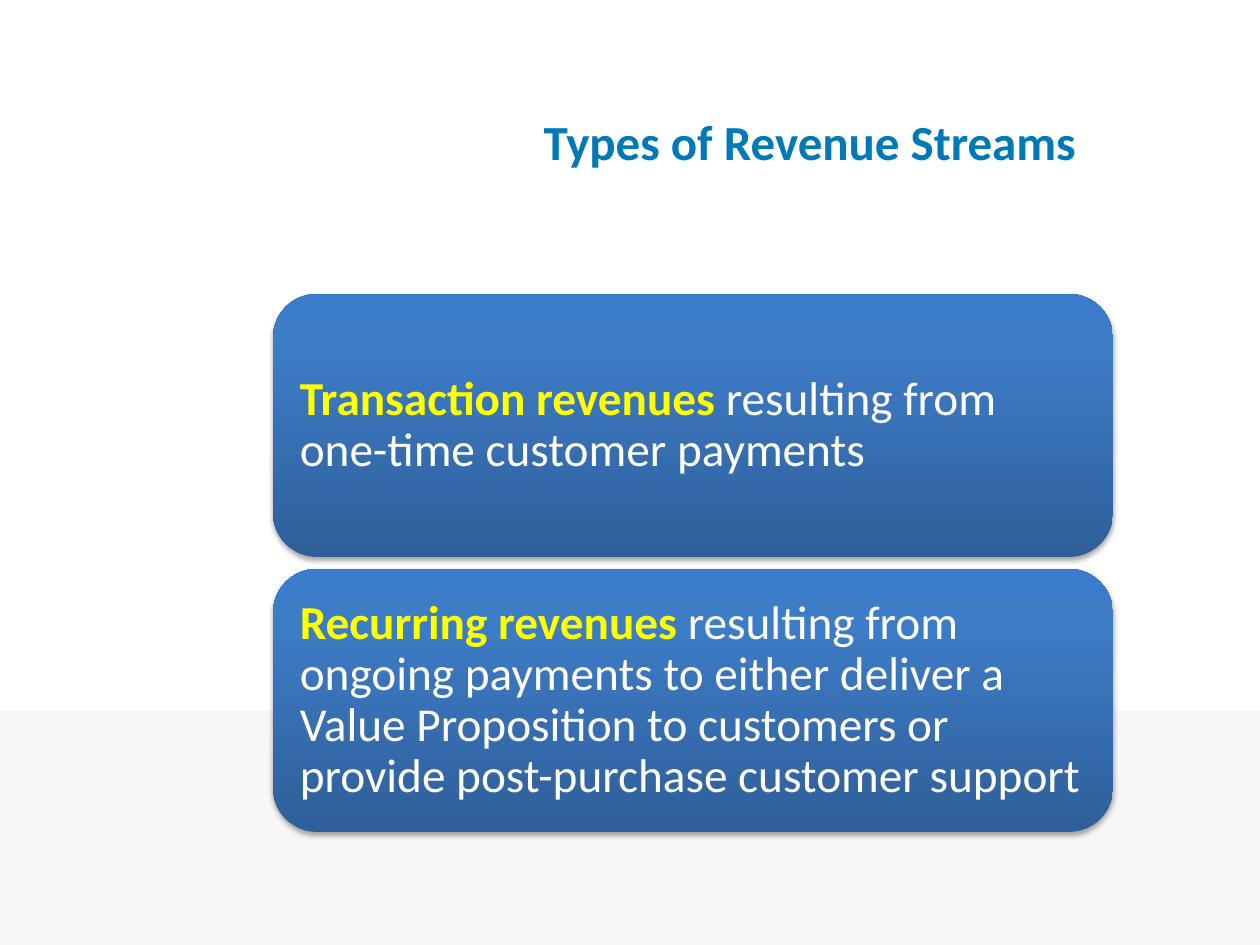
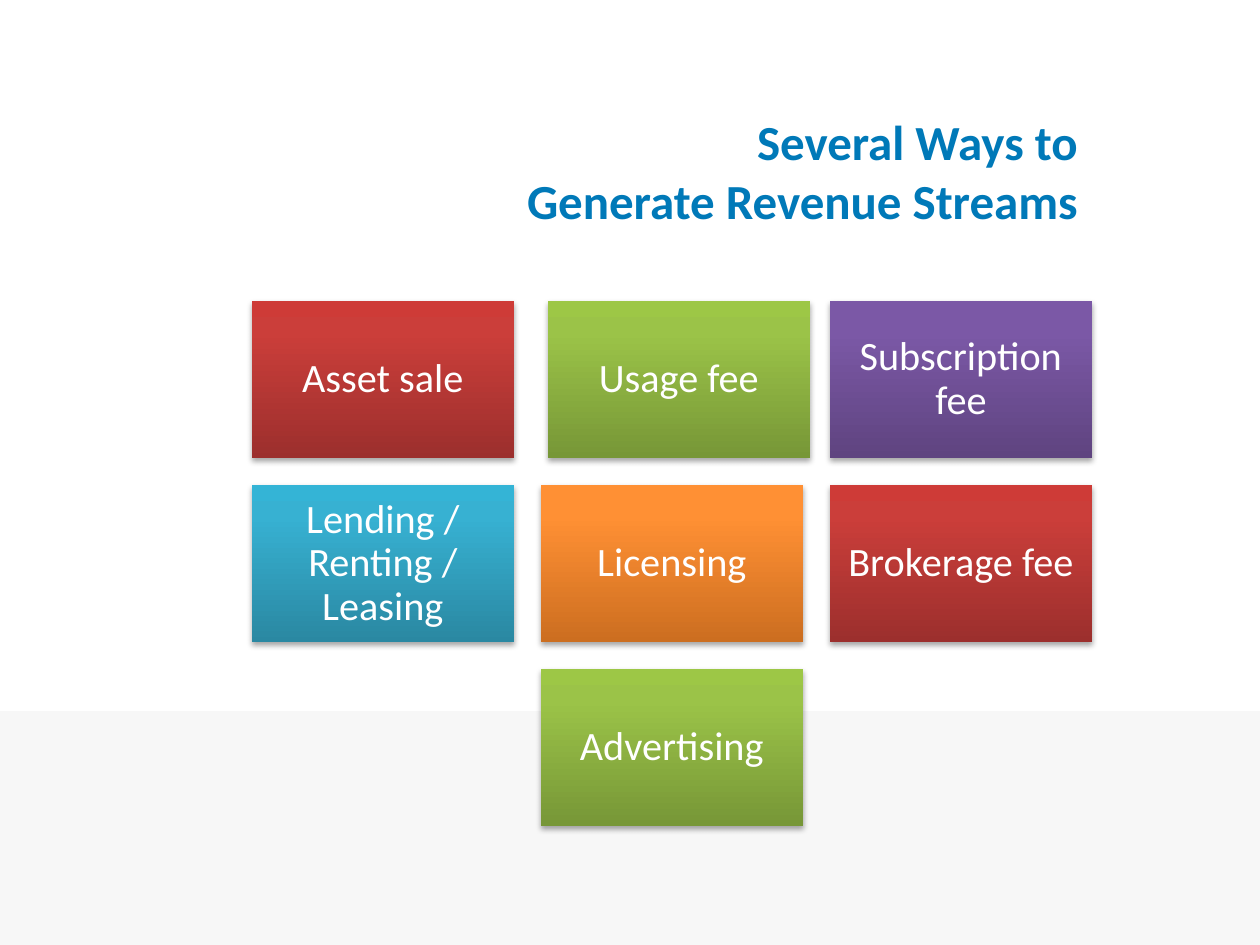
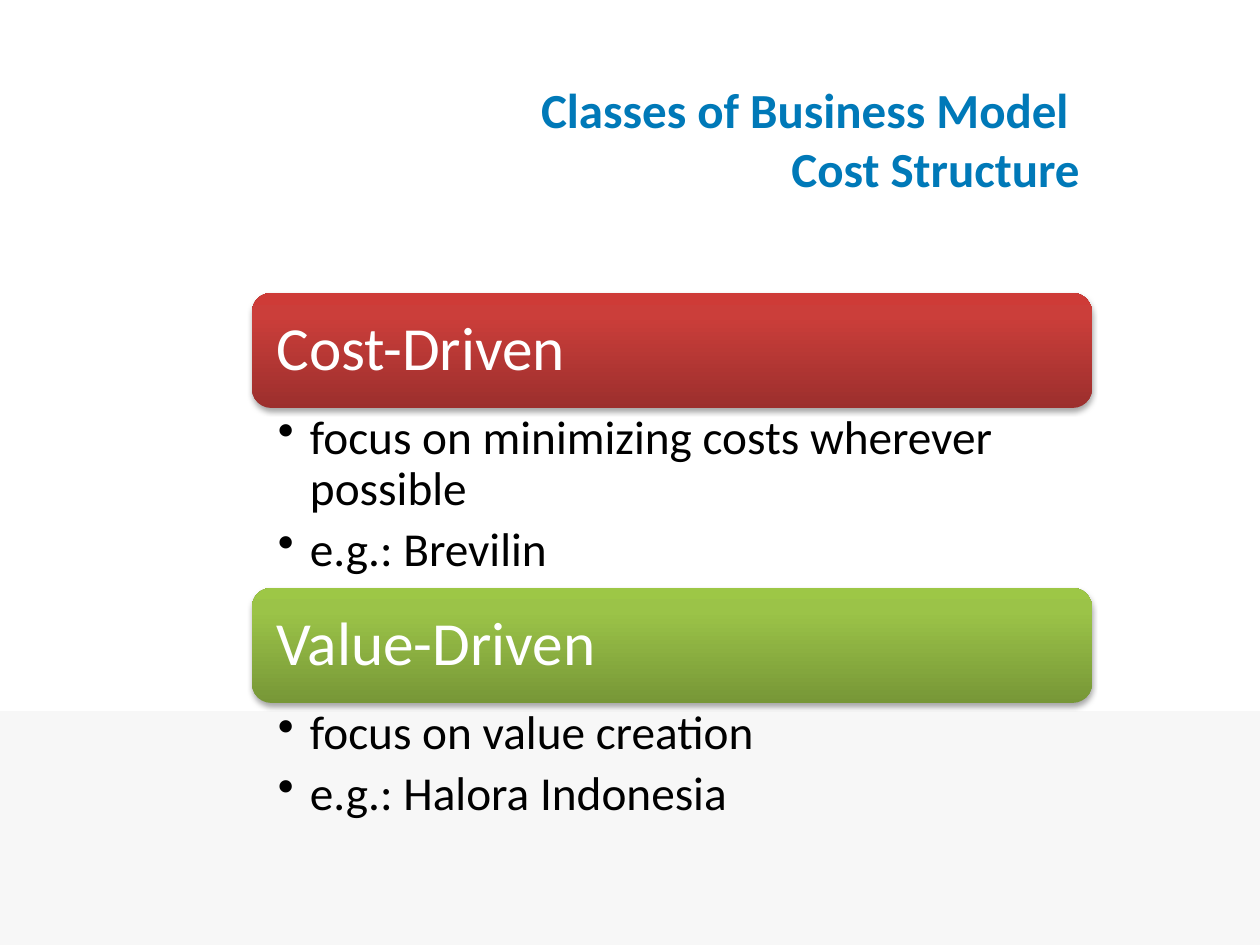
import copy

import lxml.etree
import pptx
import pptx.dml.color
import pptx.enum.shapes
import pptx.enum.text
import pptx.oxml.ns
import pptx.util

RGB = pptx.dml.color.RGBColor
SHAPE = pptx.enum.shapes.MSO_SHAPE
ALIGN = pptx.enum.text.PP_ALIGN
ANCHOR = pptx.enum.text.MSO_ANCHOR
qn = pptx.oxml.ns.qn

FONT = "Calibri"
WHITE = RGB(0xFF, 0xFF, 0xFF)
BLACK = RGB(0x00, 0x00, 0x00)
YELLOW = RGB(0xFF, 0xFF, 0x00)
BAND_GREY = RGB(0xF7, 0xF7, 0xF7)
TITLE_BLUE = RGB(0x00, 0x79, 0xB8)

BLUE = (RGB(0x2F, 0x5F, 0x99), RGB(0x3D, 0x7C, 0xC7), RGB(0x3A, 0x7C, 0xCB))
RED = (RGB(0x9C, 0x2F, 0x2D), RGB(0xCB, 0x3E, 0x3A), RGB(0xCE, 0x3B, 0x37))
GREEN = (RGB(0x77, 0x97, 0x37), RGB(0x9B, 0xC3, 0x48), RGB(0x9D, 0xC7, 0x46))
PURPLE = (RGB(0x5F, 0x44, 0x80), RGB(0x7B, 0x58, 0xA6), RGB(0x7C, 0x57, 0xA8))
TEAL = (RGB(0x2A, 0x88, 0xA2), RGB(0x37, 0xB1, 0xD2), RGB(0x34, 0xB4, 0xD6))
ORANGE = (RGB(0xCC, 0x6E, 0x20), RGB(0xFF, 0x90, 0x34), RGB(0xFF, 0x91, 0x36))
STOPS = (0, 0.8, 1)

SLIDE_W, SLIDE_H = 1260, 945
BAND_TOP = 711


def px(n):
    """Convert pixels at 126 to the inch into EMU."""
    return pptx.util.Emu(round(n * 914400 / 126))


def add_run(p, text, size, color, bold=False):
    """Append one styled run to a paragraph."""
    r = p.add_run()
    r.text = text
    r.font.name = FONT
    r.font.size = pptx.util.Pt(size)
    r.font.bold = bold
    r.font.color.rgb = color


def set_insets(tf, left, top, right, bottom):
    """Set the four text margins and turn wrapping on."""
    tf.word_wrap = True
    tf.margin_left, tf.margin_top = px(left), px(top)
    tf.margin_right, tf.margin_bottom = px(right), px(bottom)


def paragraphs(tf, count):
    """Return the given number of paragraphs of an empty text frame."""
    return [tf.paragraphs[0]] + [tf.add_paragraph() for _ in range(count - 1)]


def fill_gradient(sp, colors):
    """Fill a shape with a vertical three-stop gradient, first colour lowest."""
    sp.fill.gradient()
    sp.fill.gradient_angle = 90
    stops = sp._element.spPr.find(".//" + qn("a:gsLst"))
    stops.append(copy.deepcopy(stops[-1]))
    for stop, position, color in zip(sp.fill.gradient_stops, STOPS, colors):
        stop.position = position
        stop.color.rgb = color


def add_shadow(sp):
    """Give a shape a soft shadow straight below it."""
    sp.shadow.inherit = False
    effects = sp._element.spPr.find(qn("a:effectLst"))
    shadow = lxml.etree.SubElement(
        effects, qn("a:outerShdw"), blurRad="40000", dist="23000",
        dir="5400000", rotWithShape="0")
    color = lxml.etree.SubElement(shadow, qn("a:srgbClr"), val="000000")
    lxml.etree.SubElement(color, qn("a:alpha"), val="35000")


def add_card(s, kind, box, colors, runs, size, inset, align=ALIGN.LEFT):
    """Draw a gradient card with one paragraph of (text, colour, bold) runs."""
    sp = s.shapes.add_shape(kind, *map(px, box))
    fill_gradient(sp, colors)
    sp.line.fill.background()
    add_shadow(sp)
    tf = sp.text_frame
    set_insets(tf, inset, inset, inset, inset)
    tf.vertical_anchor = ANCHOR.MIDDLE
    p = tf.paragraphs[0]
    p.alignment = align
    p.line_spacing = 0.9
    for text, color, bold in runs:
        add_run(p, text, size, color, bold)


def add_bullets(s, box, items):
    """Write a bulleted list in the given box."""
    tf = s.shapes.add_textbox(*map(px, box)).text_frame
    set_insets(tf, 26, 6, 34, 6)
    for p, item in zip(paragraphs(tf, len(items)), items):
        p.level = 1
        p.line_spacing = 0.9
        p.space_after = pptx.util.Pt(5.4)
        pPr = p._p.get_or_add_pPr()
        pPr.set("marL", str(px(32)))
        pPr.set("indent", str(-px(32)))
        lxml.etree.SubElement(pPr, qn("a:buChar"), char="•")
        add_run(p, item, 27, BLACK)


def add_title(s, box, lines):
    """Write the right-aligned slide title."""
    tf = s.shapes.add_textbox(*map(px, box)).text_frame
    tf.word_wrap = False
    tf.auto_size = pptx.enum.text.MSO_AUTO_SIZE.SHAPE_TO_FIT_TEXT
    for p, line in zip(paragraphs(tf, len(lines)), lines):
        p.alignment = ALIGN.RIGHT
        add_run(p, line, 28, TITLE_BLUE, True)


def new_slide(prs):
    """Add a blank slide with the grey band along its foot."""
    s = prs.slides.add_slide(prs.slide_layouts[6])
    band = s.shapes.add_shape(
        SHAPE.RECTANGLE, 0, px(BAND_TOP), px(SLIDE_W), px(SLIDE_H - BAND_TOP))
    band.shadow.inherit = False
    band.fill.solid()
    band.fill.fore_color.rgb = BAND_GREY
    band.line.fill.background()
    return s


def add_revenue_types(s, box, types):
    """Stack one rounded card per revenue type, sharing the box height."""
    x, y, w, h = box
    gap = 12
    card_h = (h - gap * (len(types) - 1)) / len(types)
    for i, (name, detail) in enumerate(types):
        card = (x, y + i * (card_h + gap), w, card_h)
        runs = [(name, YELLOW, True), (detail, WHITE, False)]
        add_card(s, SHAPE.ROUNDED_RECTANGLE, card, BLUE, runs, 27, 14)


def add_revenue_ways(s, box, ways):
    """Place (column, row, nudge, colours, label) tiles on a 3 by 3 grid."""
    x, y, w, h = box
    tile_w, tile_h = 262, 157
    step_x, step_y = (w - tile_w) / 2, (h - tile_h) / 2
    for column, row, nudge, colors, label in ways:
        tile = (x + column * step_x + nudge, y + row * step_y, tile_w, tile_h)
        add_card(s, SHAPE.RECTANGLE, tile, colors, [(label, WHITE, False)],
                 23, 13, ALIGN.CENTER)


def add_cost_classes(s, box, classes):
    """Stack heading cards, each followed by its bulleted list."""
    x, y, w, _ = box
    head_h = 115
    for colors, name, body_h, items in classes:
        add_card(s, SHAPE.ROUNDED_RECTANGLE, (x, y, w, head_h), colors,
                 [(name, WHITE, False)], 35, 19)
        add_bullets(s, (x, y + head_h, w, body_h), items)
        y += head_h + body_h


def main():
    """Build the three slides and save them."""
    prs = pptx.Presentation()
    prs.slide_width, prs.slide_height = px(SLIDE_W), px(SLIDE_H)

    s = new_slide(prs)
    add_revenue_types(s, (273, 294, 840, 538), [
        ("Transaction revenues ", "resulting from one-time customer payments"),
        ("Recurring revenues ",
         "resulting from ongoing payments to either deliver a Value Proposition "
         "to customers or provide post-purchase customer support"),
    ])
    add_title(s, (525, 105, 563, 72), ["Types of Revenue Streams"])

    s = new_slide(prs)
    add_revenue_ways(s, (252, 301, 840, 525), [
        (0, 0, 0, RED, "Asset sale"),
        (1, 0, 7, GREEN, "Usage fee"),
        (2, 0, 0, PURPLE, "Subscription fee"),
        (0, 1, 0, TEAL, "Lending / Renting / Leasing"),
        (1, 1, 0, ORANGE, "Licensing"),
        (2, 1, 0, RED, "Brokerage fee"),
        (1, 2, 0, GREEN, "Advertising"),
    ])
    add_title(s, (507, 105, 583, 131),
              ["Several Ways to", "Generate Revenue Streams"])

    s = new_slide(prs)
    add_cost_classes(s, (252, 293, 840, 540), [
        (RED, "Cost-Driven", 180,
         ["focus on minimizing costs wherever possible", "e.g.: Brevilin"]),
        (GREEN, "Value-Driven", 130,
         ["focus on value creation", "e.g.: Halora Indonesia"]),
    ])
    add_title(s, (522, 73, 570, 131),
              ["Classes of Business Model ", "Cost Structure"])

    prs.save("out.pptx")


if __name__ == "__main__":
    main()
